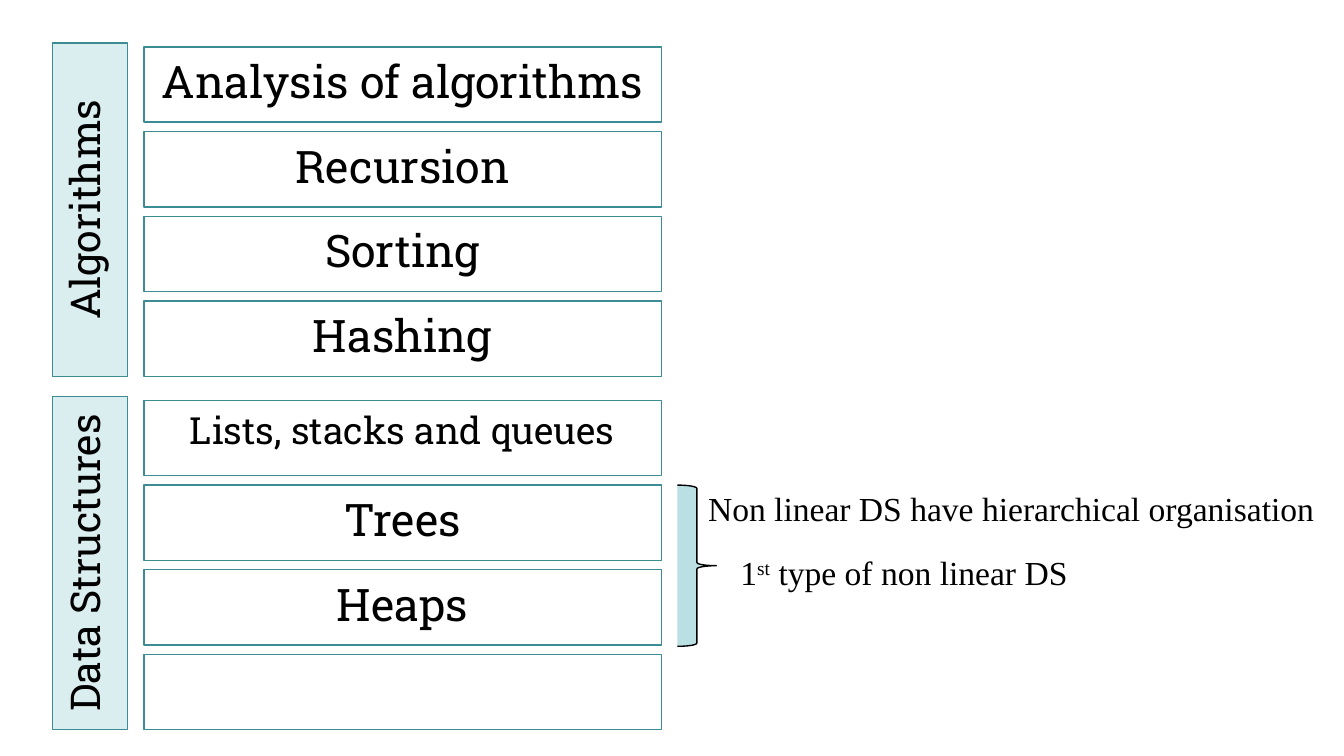
from pptx import Presentation, util as u
from pptx.dml.color import RGBColor
from pptx.enum import shapes, text

# Content: groups of topics, and notes as (left, top, width, runs)
GROUPS = [
    ("Algorithms", [("Analysis of algorithms", 24), ("Recursion", 24),
                    ("Sorting", 24), ("Hashing", 24)]),
    ("Data Structures", [("Lists, stacks and queues", 20), ("Trees", 24),
                         ("Heaps", 24), ("", 24)]),
]
NOTES = [
    (5.41, 4.06, 2.68, [("1", False), ("st", True), (" type of non linear DS", False)]),
    (5.17, 3.58, 4.76, [("Non linear DS have hierarchical organisation", False)]),
]

# Grid
TOP, GROUP_STEP, ROW_STEP = 0.35, 2.63, 0.63
BOX_LEFT, BOX_W, BOX_H = 1.07, 3.85, 0.56
LABEL_CENTER, LABEL_LEN = 0.67, 2.48
SHAPE = shapes.MSO_SHAPE

prs = Presentation()
prs.slide_width = u.Inches(10)
prs.slide_height = prs.slide_width * 9 // 16
s = prs.slides.add_slide(prs.slide_layouts[6])


def color(value):
    return RGBColor.from_string(value)


def add_text(sp, runs, size=18, font="Times New Roman", align=None, before=None, wrap=True):
    tf = sp.text_frame
    tf.word_wrap = wrap
    tf.vertical_anchor = text.MSO_ANCHOR.TOP
    p = tf.paragraphs[0]
    p.alignment = align
    if before is not None:
        p.space_before = u.Pt(before)
    for words, raised in runs:
        r = p.add_run()
        r.text = words
        r.font.size, r.font.name = u.Pt(size), font
        r.font.color.rgb = color("000000")
        if raised:
            r.font._element.set("baseline", "30000")
    return tf


def add_shape(kind, left, top, width, height, fill=None, line="3C8C93"):
    sp = s.shapes.add_shape(kind, *map(u.Inches, (left, top, width, height)))
    sp.shadow.inherit = False
    if fill:
        sp.fill.solid()
        sp.fill.fore_color.rgb = color(fill)
    else:
        sp.fill.background()
    sp.line.color.rgb = color(line)
    sp.line.width = u.Pt(0.75)
    return sp


def add_box(words, size, *place, fill=None):
    sp = add_shape(SHAPE.RECTANGLE, *place, fill=fill)
    if words:
        add_text(sp, [(words, False)], size=size, font="Roboto Slab",
                 align=text.PP_ALIGN.CENTER, before=size * 0.2)
    return sp


# Topic boxes, with a rotated label beside each group
for g, (label, topics) in enumerate(GROUPS):
    group_top = TOP + g * GROUP_STEP
    for i, (topic, size) in enumerate(topics):
        add_box(topic, size, BOX_LEFT, group_top + i * ROW_STEP, BOX_W, BOX_H)
    middle = group_top + LABEL_LEN / 2 - 0.03
    sp = add_box(label, 22, LABEL_CENTER - LABEL_LEN / 2, middle - BOX_H / 2,
                 LABEL_LEN, BOX_H, fill="DAEDEF")
    sp.rotation = 270

# Brace spanning trees and heaps
add_shape(SHAPE.RIGHT_BRACE, 5.04, TOP + GROUP_STEP + ROW_STEP, 0.29, 1.2,
          fill="BBE0E3", line="000000")

# Notes
for left, top, width, runs in NOTES:
    sp = s.shapes.add_textbox(*map(u.Inches, (left, top, width, 0.4)))
    tf = add_text(sp, runs, wrap=False)
    tf.auto_size = text.MSO_AUTO_SIZE.SHAPE_TO_FIT_TEXT

prs.save("out.pptx")
